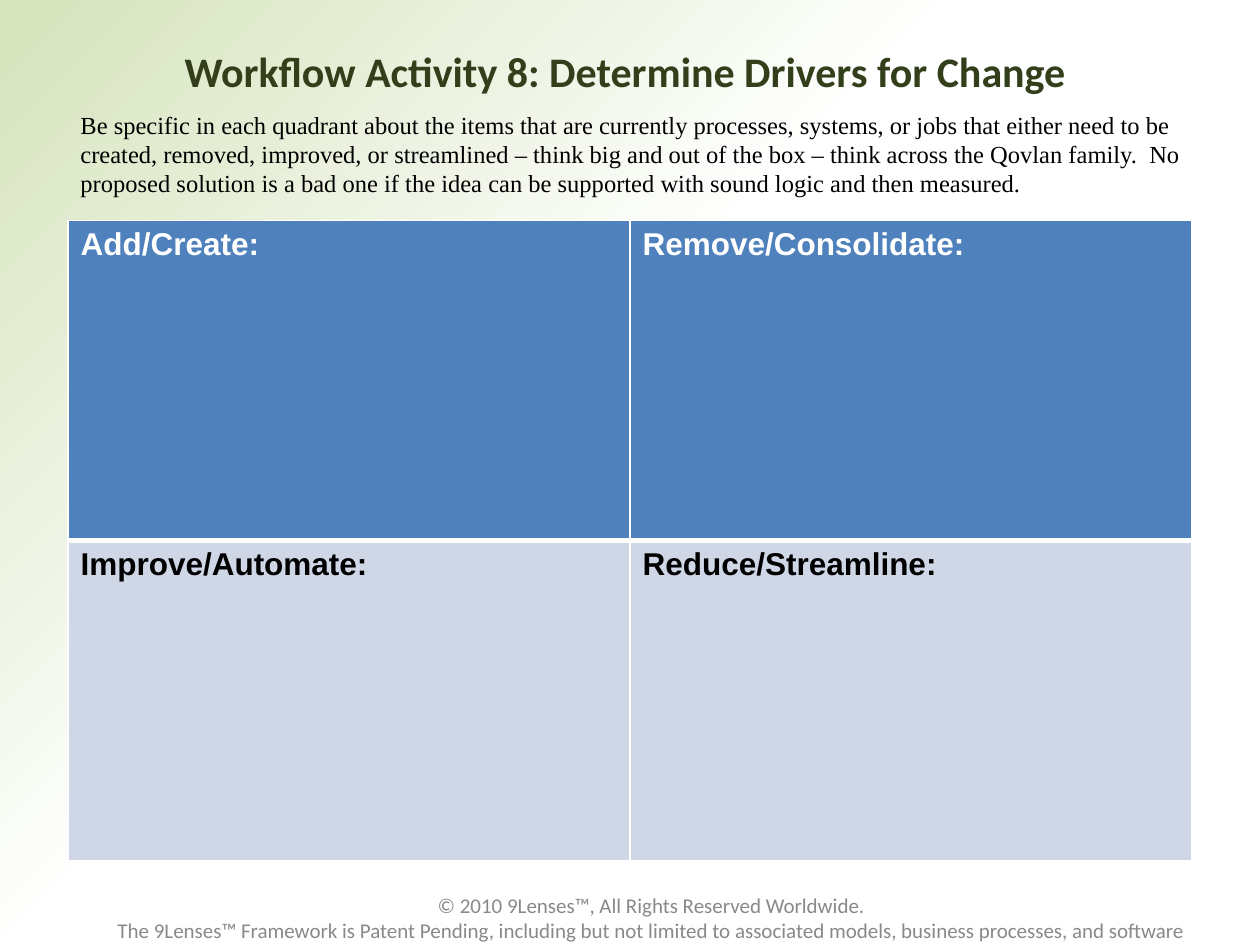
"""Build the drivers-for-change worksheet slide."""
from pptx import Presentation
from pptx.dml.color import RGBColor
from pptx.enum.text import MSO_ANCHOR, PP_ALIGN
from pptx.oxml import parse_xml
from pptx.oxml.ns import nsdecls
from pptx.util import Inches, Pt

LEFT, CENTER = PP_ALIGN.LEFT, PP_ALIGN.CENTER
TOP, MIDDLE = MSO_ANCHOR.TOP, MSO_ANCHOR.MIDDLE

WHITE = RGBColor(0xFF, 0xFF, 0xFF)
BLACK = RGBColor(0x00, 0x00, 0x00)
GRAY = RGBColor(0x89, 0x89, 0x89)
OLIVE = RGBColor(0x33, 0x3F, 0x1A)
PALE_GREEN = RGBColor(0xD6, 0xE3, 0xBC)
BLUE = RGBColor(0x4F, 0x81, 0xBD)
PALE_BLUE = RGBColor(0xCF, 0xD7, 0xE7)

BACKGROUND_STOPS = [(0, WHITE), (56, WHITE), (99, PALE_GREEN), (100, PALE_GREEN)]
QUADRANTS = [
    (["Add/Create:", "Remove/Consolidate:"], BLUE, WHITE, {"T": 1, "B": 3}),
    (["Improve/Automate:", "Reduce/Streamline:"], PALE_BLUE, BLACK, {"T": 3, "B": 1}),
]
INSTRUCTIONS = (
    "Be specific in each quadrant about the items that are currently processes, "
    "systems, or jobs that either need to be created, removed, improved, or "
    "streamlined – think big and out of the box – think across the Qovlan family.  "
    "No proposed solution is a bad one if the idea can be supported with sound "
    "logic and then measured."
)
COPYRIGHT = (
    "© 2010 9Lenses™, All Rights Reserved Worldwide.\n"
    "The 9Lenses™ Framework is Patent Pending, including but not limited to "
    "associated models, business processes, and software"
)


class Worksheet:
    def __init__(self, slide):
        self.slide = slide

    def style(self, frame, font, size, color, bold=False, align=LEFT):
        for paragraph in frame.paragraphs:
            paragraph.alignment = align
            for run in paragraph.runs:
                run.font.name = font
                run.font.size = Pt(size)
                run.font.bold = bold
                run.font.color.rgb = color

    def background(self, stops):
        stop_xml = "".join(
            f'<a:gs pos="{position * 1000}"><a:srgbClr val="{color}"/></a:gs>'
            for position, color in stops
        )
        self.slide.background.fill.solid()
        properties = self.slide.element.cSld.bg.bgPr
        gradient = parse_xml(
            f'<a:gradFill {nsdecls("a")} rotWithShape="1"><a:gsLst>{stop_xml}</a:gsLst>'
            '<a:path path="circle"><a:fillToRect l="100000" t="100000"/></a:path>'
            "</a:gradFill>"
        )
        properties.replace(properties[0], gradient)

    def text(self, words, left, top, width, height, anchor=TOP, **style):
        box = self.slide.shapes.add_textbox(
            Inches(left), Inches(top), Inches(width), Inches(height)
        )
        frame = box.text_frame
        frame.word_wrap = True
        frame.vertical_anchor = anchor
        frame.text = words
        self.style(frame, **style)

    def borders(self, cell, widths):
        properties = cell._tc.get_or_add_tcPr()
        for index, side in enumerate("LRTB"):
            line = parse_xml(
                f'<a:ln{side} {nsdecls("a")} w="{Pt(widths.get(side, 1))}">'
                f'<a:solidFill><a:srgbClr val="{WHITE}"/></a:solidFill></a:ln{side}>'
            )
            properties.insert(index, line)

    def quadrants(self, rows, left, top, column_width, row_height):
        count = len(rows[0][0])
        table = self.slide.shapes.add_table(
            len(rows), count, Inches(left), Inches(top),
            Inches(column_width * count), Inches(row_height * len(rows)),
        ).table
        table.first_row = table.horz_banding = False
        for row, (headings, fill, color, widths) in enumerate(rows):
            for column, heading in enumerate(headings):
                cell = table.cell(row, column)
                cell.text = heading
                cell.fill.solid()
                cell.fill.fore_color.rgb = fill
                self.style(cell.text_frame, "Arial", 18, color, bold=True)
                self.borders(cell, widths)


def main():
    deck = Presentation()
    deck.slide_width, deck.slide_height = Inches(10), Inches(7.5)
    sheet = Worksheet(deck.slides.add_slide(deck.slide_layouts[6]))
    sheet.background(BACKGROUND_STOPS)
    sheet.text(COPYRIGHT, 0.67, 7.08, 9, 0.4, MIDDLE,
               font="Calibri", size=12, color=GRAY, align=CENTER)
    sheet.text("Workflow Activity 8: Determine Drivers for Change ", 0.5, 0.3, 9, 0.52,
               MIDDLE, font="Calibri", size=24, color=OLIVE, bold=True, align=CENTER)
    sheet.quadrants(QUADRANTS, 0.54, 1.75, 4.46, 2.54)
    sheet.text(INSTRUCTIONS, 0.54, 0.82, 8.96, 0.81,
               font="Times New Roman", size=14, color=BLACK)
    deck.save("out.pptx")


if __name__ == "__main__":
    main()
